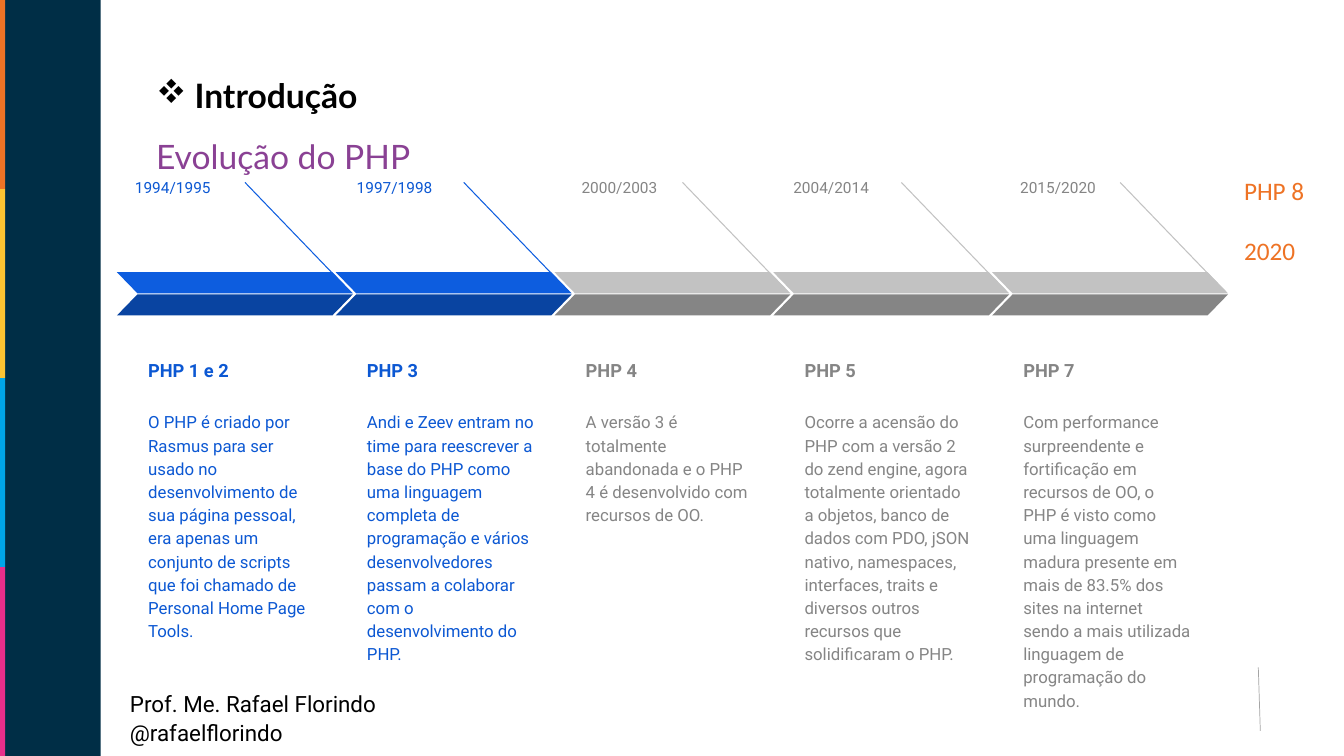
from pptx import Presentation
from pptx.util import Inches, Pt
from pptx.dml.color import RGBColor
from pptx.enum.shapes import MSO_SHAPE, MSO_CONNECTOR
from pptx.enum.text import PP_ALIGN, MSO_ANCHOR
from lxml.etree import SubElement
from pptx.oxml.ns import qn


def paint(part, color):
    part.solid()
    part.fore_color.rgb = RGBColor.from_string(color)


def write(box, lines, size, color, font="Roboto", gap=1.15, bold=False, inset=None,
          align=PP_ALIGN.LEFT, anchor=MSO_ANCHOR.TOP, space=0):
    frame = box.text_frame
    frame.word_wrap = True
    frame.vertical_anchor = anchor
    if inset:
        frame.margin_left = frame.margin_right = Inches(inset)
        frame.margin_top = frame.margin_bottom = Inches(inset)
    frame.text = "\n".join(lines)
    for row, para in enumerate(frame.paragraphs):
        para.alignment = align
        para.line_spacing = gap
        para.space_before = Pt(space if row else 0)
        para.font.size = Pt(size)
        para.font.name = font
        para.font.bold = bold
        paint(para.font.fill, color)


deck = Presentation()
deck.slide_width = Inches(13.33)
deck.slide_height = Inches(7.5)
slide = deck.slides.add_slide(deck.slide_layouts[5])
shapes = slide.shapes

band = deck.slide_height // 4
bars = [(0, 0, Inches(1), deck.slide_height, "002E46")]
for row, color in enumerate(["EE7325", "FDC432", "00A6E9", "E82E8A"]):
    bars.append((0, row * band, Inches(0.05), band, color))
for *place, color in bars:
    bar = shapes.add_shape(MSO_SHAPE.RECTANGLE, *place)
    bar.shadow.inherit = False
    paint(bar.fill, color)
    bar.line.fill.background()

title = shapes.title
title.left, title.top = Inches(1.45), Inches(0.74)
title.width, title.height = Inches(9.46), Inches(0.49)
title.text_frame.text = "Introdução"
props = title.text_frame.paragraphs[0]._p.get_or_add_pPr()
props.set("marL", str(Inches(0.38)))
props.set("indent", str(Inches(-0.38)))
SubElement(props, qn("a:buFont")).set("typeface", "Wingdings")
SubElement(props, qn("a:buChar")).set("char", "v")
frame = title.text_frame
frame.vertical_anchor = MSO_ANCHOR.TOP
head = frame.paragraphs[0]
head.alignment = PP_ALIGN.LEFT
head.line_spacing = 0.9
head.font.size = Pt(24)
head.font.name = "Lato"
head.font.bold = True
paint(head.font.fill, "000000")

topic = shapes.add_textbox(Inches(1.45), Inches(1.34), Inches(9.46), Inches(0.5))
write(topic, ["Evolução do PHP"], 24, "8A4194", "Lato", 0.9)
author = shapes.add_textbox(Inches(1.19), Inches(6.77), Inches(6.19), Inches(0.73))
write(author, ["Prof. Me. Rafael Florindo", "@rafaelflorindo"], 16, "000000", gap=1.1)

blue = ("0D5DDF", "0944A1", "0C58D3")
gray = ("C2C2C2", "858585", "858585")
eras = [
    ("1994/1995", 2.22, "PHP 1 e 2", blue,
     "O PHP é criado por Rasmus para ser usado no desenvolvimento de sua página pessoal, "
     "era apenas um conjunto de scripts que foi chamado de Personal Home Page Tools."),
    ("1997/1998", 4.42, "PHP 3", blue,
     "Andi e Zeev entram no time para reescrever a base do PHP como uma linguagem completa "
     "de programação e vários desenvolvedores passam a colaborar com o desenvolvimento do PHP."),
    ("2000/2003", 6.65, "PHP 4", gray,
     "A versão 3 é totalmente abandonada e o PHP 4 é desenvolvido com recursos de OO."),
    ("2004/2014", 8.75, "PHP 5", gray,
     "Ocorre a acensão do PHP com a versão 2 do zend engine, agora totalmente orientado a "
     "objetos, banco de dados com PDO, jSON nativo, namespaces, interfaces, traits e "
     "diversos outros recursos que solidificaram o PHP."),
    ("2015/2020", 11, "PHP 7", gray,
     "Com performance surpreendente e fortificação em recursos de OO, o PHP é visto como "
     "uma linguagem madura presente em mais de 83.5% dos sites na internet sendo a mais "
     "utilizada linguagem de programação do mundo."),
]
rules = [(12.48, 6.62, 12.5, 7.25, "A5A5A5", 0.5)]
for col, (years, right, name, (light, dark, ink), story) in enumerate(eras):
    left = 1.16 + col * 2.17
    rules.append((left + 1.27, 1.81, left + 2.31, 2.89, light, 0.75))
    for top, color in [(2.7, light), (2.92, dark)]:
        arrow = shapes.add_shape(MSO_SHAPE.PARALLELOGRAM, Inches(left), Inches(top),
                                 Inches(2.34), Inches(0.21))
        arrow.adjustments[0] = 0.97
        arrow.shadow.inherit = False
        paint(arrow.fill, color)
        arrow.line.fill.background()
        if color == light:
            arrow._element.spPr.xfrm.set("flipH", "1")
    label = shapes.add_textbox(Inches(left + 0.18), Inches(3.26), Inches(1.93), Inches(0.65))
    write(label, [name], 13, ink, bold=True, inset=0.13, anchor=MSO_ANCHOR.BOTTOM)
    note = shapes.add_textbox(Inches(left + 0.18), Inches(3.93), Inches(1.93), Inches(2.76))
    write(note, [story], 12, ink, inset=0.13)
    date = shapes.add_textbox(Inches(right - 1.05), Inches(1.63), Inches(1.05), Inches(0.35))
    write(date, [years], 11, ink, inset=0.13, align=PP_ALIGN.RIGHT)

for *ends, color, width in rules:
    rule = shapes.add_connector(MSO_CONNECTOR.STRAIGHT, *map(Inches, ends))
    paint(rule.line.fill, color)
    rule.line.width = Pt(width)
    SubElement(rule._element.spPr, qn("a:effectLst"))

last = shapes.add_textbox(Inches(12.24), Inches(1.69), Inches(0.96), Inches(1.01))
write(last, ["PHP 8", "2020"], 18, "EE7325", "Calibri", 1, space=21)

deck.save("out.pptx")
